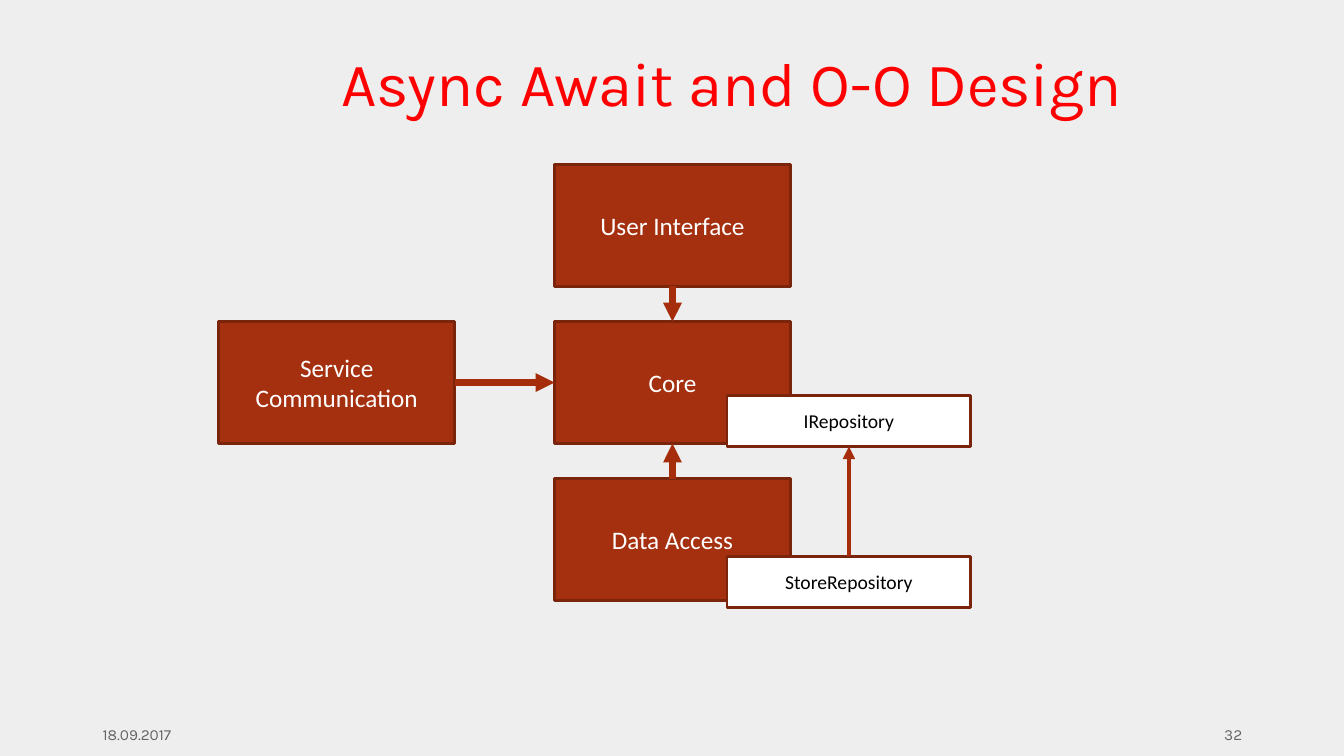
from lxml.etree import SubElement
from pptx import Presentation
from pptx.dml.color import RGBColor
from pptx.enum.shapes import MSO_CONNECTOR, MSO_SHAPE
from pptx.enum.text import MSO_ANCHOR, PP_ALIGN
from pptx.oxml.ns import qn
from pptx.util import Inches, Pt

BACKGROUND = RGBColor(0xEE, 0xEE, 0xEE)
TITLE_RED = RGBColor(0xFF, 0x00, 0x00)
FOOTER_GREY = RGBColor(0x65, 0x65, 0x65)
RUST = RGBColor(0xA5, 0x30, 0x0F)
DARK_RUST = RGBColor(0x7A, 0x24, 0x0B)
ARROW_RUST = RGBColor(0xA5, 0x2D, 0x0B)
WHITE = RGBColor(0xFF, 0xFF, 0xFF)
BLACK = RGBColor(0x00, 0x00, 0x00)

HEADING_FONT, DIAGRAM_FONT = "Karla", "Calibri"

# Layer grid, in inches
LAYER_SIZE = (2.34, 1.21)
CLASS_SIZE = (2.42, 0.51)
SIDE_LEFT, CENTRE_LEFT, CLASS_LEFT = 2.17, 5.5, 7.21
FIRST_ROW, ROW_STEP = 1.63, 1.56

# Connection sites of a rectangle
TOP, LEFT, BOTTOM, RIGHT = range(4)


def write(frame, text, font, size, color, align, anchor):
    frame.word_wrap = True
    frame.vertical_anchor = anchor
    paragraph = frame.paragraphs[0]
    paragraph.alignment = align
    run = paragraph.add_run()
    run.text = text
    run.font.name = font
    run.font.size = Pt(size)
    run.font.color.rgb = color


def add_title(slide, text):
    title = slide.shapes.title
    title.left, title.top = Inches(2.1), Inches(0.4)
    title.width, title.height = Inches(10.32), Inches(1.15)
    title.text_frame.margin_top = Inches(0.05)
    write(title.text_frame, text, HEADING_FONT, 44, TITLE_RED,
          PP_ALIGN.CENTER, MSO_ANCHOR.TOP)


def add_footer(slide, text, left, align):
    footer = slide.shapes.add_textbox(Inches(left), Inches(7.14),
                                      Inches(3), Inches(0.21))
    write(footer.text_frame, text, HEADING_FONT, 11, FOOTER_GREY,
          align, MSO_ANCHOR.TOP)


def add_box(slide, text, left, top, size, fill, color, font_size):
    box = slide.shapes.add_shape(MSO_SHAPE.RECTANGLE, Inches(left), Inches(top),
                                 Inches(size[0]), Inches(size[1]))
    box.shadow.inherit = False
    box.fill.solid()
    box.fill.fore_color.rgb = fill
    box.line.color.rgb = DARK_RUST
    box.line.width = Pt(2)
    write(box.text_frame, text, DIAGRAM_FONT, font_size, color,
          PP_ALIGN.CENTER, MSO_ANCHOR.MIDDLE)
    return box


def add_layer(slide, text, left, row):
    return add_box(slide, text, left, FIRST_ROW + row * ROW_STEP,
                   LAYER_SIZE, RUST, WHITE, 18)


def add_class(slide, text, top):
    return add_box(slide, text, CLASS_LEFT, top, CLASS_SIZE, WHITE, BLACK, 14)


def add_arrow(slide, source, source_site, target, target_site, width):
    arrow = slide.shapes.add_connector(MSO_CONNECTOR.STRAIGHT, 0, 0, 0, 0)
    arrow.begin_connect(source, source_site)
    arrow.end_connect(target, target_site)
    arrow.line.color.rgb = ARROW_RUST
    arrow.line.width = Pt(width)
    # Arrowhead at the target, no shadow
    SubElement(arrow.line._get_or_add_ln(), qn("a:tailEnd"), type="triangle")
    SubElement(arrow._element.spPr, qn("a:effectLst"))


def main():
    deck = Presentation()
    deck.slide_width, deck.slide_height = Inches(13.33), Inches(7.5)
    slide = deck.slides.add_slide(deck.slide_layouts[5])
    slide.background.fill.solid()
    slide.background.fill.fore_color.rgb = BACKGROUND

    # Title and footer
    add_title(slide, "Async Await and O-O Design")
    add_footer(slide, "18.09.2017", 0.92, PP_ALIGN.LEFT)
    add_footer(slide, "32", 9.42, PP_ALIGN.RIGHT)

    # Application layers
    core = add_layer(slide, "Core", CENTRE_LEFT, 1)
    user_interface = add_layer(slide, "User Interface", CENTRE_LEFT, 0)
    data_access = add_layer(slide, "Data Access", CENTRE_LEFT, 2)
    service = add_layer(slide, "Service Communication", SIDE_LEFT, 1)

    # Dependencies on the core
    add_arrow(slide, service, RIGHT, core, LEFT, 4.5)
    add_arrow(slide, user_interface, BOTTOM, core, TOP, 4.5)
    add_arrow(slide, data_access, TOP, core, BOTTOM, 4.5)

    # Repository interface and its implementation
    interface = add_class(slide, "IRepository", 3.92)
    implementation = add_class(slide, "StoreRepository", 5.52)
    add_arrow(slide, implementation, TOP, interface, BOTTOM, 3)

    deck.save("out.pptx")


if __name__ == "__main__":
    main()
